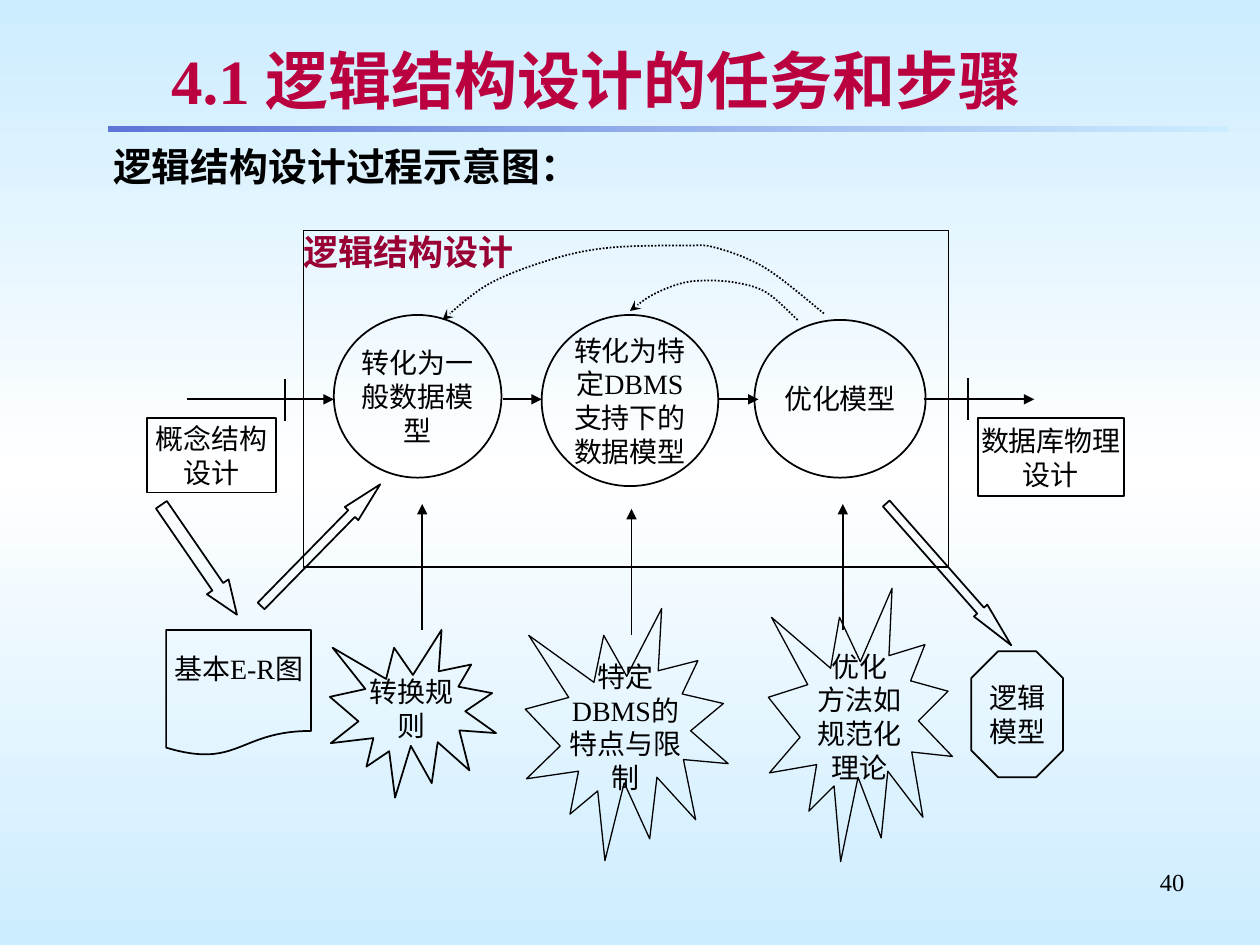
from lxml.etree import SubElement as Sub
from pptx import Presentation
from pptx.dml.color import RGBColor as RGB
from pptx.enum.dml import MSO_LINE as DASH
from pptx.enum.shapes import MSO_CONNECTOR as CONN, MSO_SHAPE as SHP
from pptx.enum.text import MSO_ANCHOR as ANC, MSO_AUTO_SIZE as AUTO, PP_ALIGN as AL
from pptx.oxml.ns import qn
from pptx.util import Cm, Pt

FONT = "Times New Roman"
HEX = {"ink": "000000", "title": "BA003E", "label": "990033",
       "sky": "CCECFF", "white": "FFFFFF", "bar": "5F76D7"}


def color(name):
    return RGB.from_string(HEX[name])


def write(shape, text, size, ink="ink", bold=False, align=AL.CENTER,
          anchor=ANC.MIDDLE, pad=(0, 0, 0, 0)):
    """Fill a shape with text; pad is left, top, right, bottom in cm."""
    frame = shape.text_frame
    frame.text = text
    frame.word_wrap = True
    frame.auto_size = AUTO.NONE
    frame.vertical_anchor = anchor
    (frame.margin_left, frame.margin_top,
     frame.margin_right, frame.margin_bottom) = map(Cm, pad)
    for para in frame.paragraphs:
        para.alignment = align
        for run in para.runs:
            font = run.font
            font.name, font.size, font.bold = FONT, Pt(size), bold
            font.color.rgb = color(ink)


def blend(fill, root, names, angle):
    """Give a fill evenly spaced gradient stops."""
    fill.gradient()
    fill.gradient_angle = angle
    stops = root.find(".//" + qn("a:gsLst"))
    for old in list(stops):
        stops.remove(old)
    for i, name in enumerate(names):
        stop = Sub(stops, qn("a:gs"), pos=str(100000 * i // (len(names) - 1)))
        Sub(stop, qn("a:srgbClr"), val=HEX[name])


def stroke(shape, width=1):
    shape.line.color.rgb = color("ink")
    shape.line.width = Pt(width)


def tip(shape, kind):
    """Put an arrowhead at the end of a line."""
    Sub(shape.line._get_or_add_ln(), qn("a:tailEnd"), type=kind)


def outline(slide, kind, box, width=1):
    shape = slide.shapes.add_shape(kind, *map(Cm, box))
    shape.shadow.inherit = False
    shape.fill.background()
    stroke(shape, width)
    return shape


def node(slide, kind, box, text, width=1, base=0):
    shape = outline(slide, kind, box, width)
    write(shape, text, 16, pad=(0, 0, 0, base))
    return shape


def label(slide, box, text, size, **style):
    shape = slide.shapes.add_textbox(*map(Cm, box))
    write(shape, text, size, pad=(0.25, 0.13, 0.25, 0.13), **style)
    return shape


def line(slide, ends, arrow=True):
    link = slide.shapes.add_connector(CONN.STRAIGHT, *map(Cm, ends))
    stroke(link)
    if arrow:
        tip(link, "triangle")
    Sub(link.element.spPr, qn("a:effectLst"))


def block(slide, box, turn, head):
    arrow = outline(slide, SHP.RIGHT_ARROW, box)
    arrow.rotation = turn
    arrow.adjustments[1] = head


def smooth(knots, steps=8):
    """Points of a Catmull-Rom curve through the knots."""
    ends = [knots[0], *knots, knots[-1]]
    points = [knots[0]]
    for quad in zip(ends, ends[1:], ends[2:], ends[3:]):
        for i in range(1, steps + 1):
            t = i / steps
            points.append(tuple(
                (2 * b + (c - a) * t + (2 * a - 5 * b + 4 * c - d) * t ** 2
                 + (3 * b - a - 3 * c + d) * t ** 3) / 2
                for a, b, c, d in zip(*quad)))
    return points


def curve(slide, knots):
    points = [(Cm(x), Cm(y)) for x, y in smooth(knots)]
    pen = slide.shapes.build_freeform(*points[0])
    pen.add_line_segments(points[1:], close=False)
    shape = pen.convert_to_shape()
    shape.shadow.inherit = False
    shape.fill.background()
    stroke(shape)
    shape.line.dash_style = DASH.ROUND_DOT
    tip(shape, "stealth")


def header(slide):
    bar = slide.shapes.add_shape(SHP.RECTANGLE, Cm(2.18), Cm(2.54), Cm(22.58), Cm(0.13))
    bar.shadow.inherit = False
    bar.line.fill.background()
    blend(bar.fill, bar.element, ["bar", "sky"], 0)

    title = slide.shapes.title
    title.left, title.top, title.width, title.height = map(Cm, (3.2, 0.74, 20.93, 1.7))
    write(title, "4.1 逻辑结构设计的任务和步骤", 36, "title", True, AL.LEFT,
          pad=(0.25, 0.1, 0.25, 0.1))
    # Text shadow, placed right after the run's fill
    props = title.text_frame.paragraphs[0].runs[0].font._element
    effect = Sub(props, qn("a:effectLst"))
    cast = Sub(effect, qn("a:outerShdw"), dist="35921", dir="2700000")
    Sub(cast, qn("a:srgbClr"), val="C0C0C0")
    props.find(qn("a:solidFill")).addnext(effect)

    label(slide, (2.03, 2.74, 22.5, 1.27), "逻辑结构设计过程示意图：", 22.2,
          bold=True, align=AL.LEFT, anchor=ANC.TOP)
    label(slide, (18.21, 17.35, 5.92, 1.32), "40", 14, align=AL.RIGHT, anchor=ANC.TOP)


def main():
    deck = Presentation()
    deck.slide_width, deck.slide_height = Cm(25.4), Cm(19.05)
    slide = deck.slides.add_slide(deck.slide_layouts[5])
    blend(slide.background.fill, slide.element, ["sky", "white", "sky"], 270)
    header(slide)

    # Frame of the design stage
    frame = outline(slide, SHP.RECTANGLE, (6.12, 4.65, 13, 6.78))
    write(frame, "逻辑结构设计", 20, "label", True, AL.LEFT, ANC.TOP, (0, 0, 0, 0.13))

    # Steps, neighbours and inputs
    seal = SHP.EXPLOSION1
    for kind, box, text, *rest in [
        (seal, (10.59, 12.27, 4.09, 5.08), "特定DBMS的特点与限制", 0.75),
        (seal, (15.49, 11.86, 3.71, 5.51), "优化\n方法如规范化理论", 0.75),
        (seal, (6.65, 12.7, 3.35, 3.38), "转换规则"),
        (SHP.OVAL, (6.73, 6.35, 3.38, 3.28), "转化为一般数据模型"),
        (SHP.OVAL, (10.92, 6.35, 3.56, 3.45), "转化为特定DBMS支持下的数据模型"),
        (SHP.OVAL, (15.21, 6.45, 3.45, 3.18), "优化模型"),
        (SHP.RECTANGLE, (2.97, 8.43, 2.59, 1.5), "概念结构设计"),
        (SHP.RECTANGLE, (19.71, 8.43, 2.95, 1.57), "数据库物理设计"),
        (SHP.FLOWCHART_DOCUMENT, (3.35, 12.7, 2.92, 2.54), "基本E-R图", 1, 0.51),
    ]:
        node(slide, kind, box, text, *rest)
    model = node(slide, SHP.OCTAGON, (19.58, 13.13, 1.85, 2.54), "逻辑\n模型")
    model.adjustments[0] = 0.293

    # Main flow, stage borders and arrows from the inputs
    for start, end in [(3.76, 6.73), (10.13, 10.92), (14.5, 15.29), (18.62, 20.85)]:
        line(slide, (start, 8.05, end, 8.05))
    for x, top in [(5.74, 7.65), (19.51, 7.62)]:
        line(slide, (x, top, x, top + 0.84), arrow=False)
    for x, foot in [(8.51, 12.7), (12.73, 12.8), (16.99, 12.7)]:
        line(slide, (x, foot, x, foot - 2.54))

    # Block arrows
    block(slide, (2.67, 11.02, 2.69, 0.53), 55.5, 1.29)
    block(slide, (17.22, 11.4, 3.81, 0.36), 48.6, 2.59)
    block(slide, (4.75, 10.8, 3.43, 0.38), 314.4, 2.17)

    # Dotted feedback curves
    curve(slide, [(16.08, 6.45), (15.44, 5.89), (14.78, 5.69), (14.1, 5.66),
                  (13.64, 5.74), (13.11, 5.97), (12.7, 6.27)])
    curve(slide, [(16.61, 6.32), (15.44, 5.41), (14.45, 5), (13.82, 4.95),
                  (12.22, 5), (11.02, 5.26), (9.83, 5.74), (8.92, 6.45)])
    deck.save("out.pptx")


if __name__ == "__main__":
    main()
